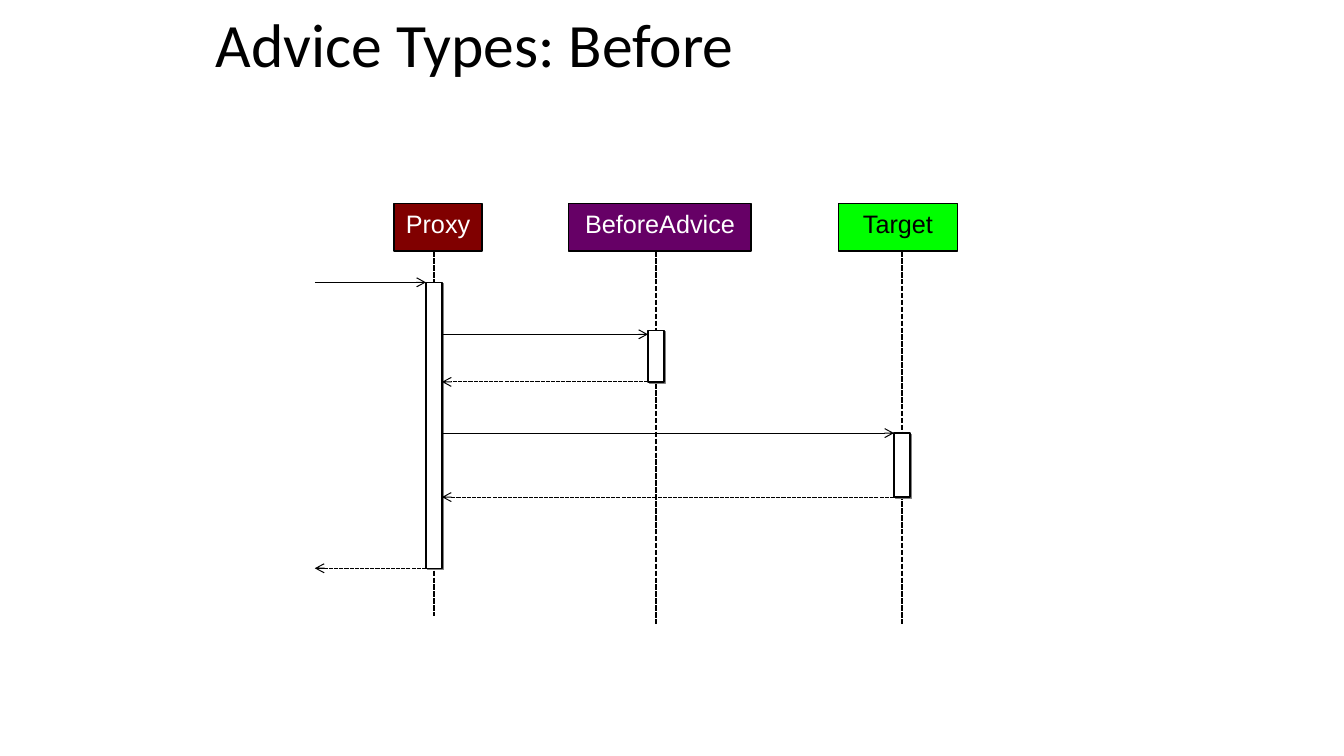
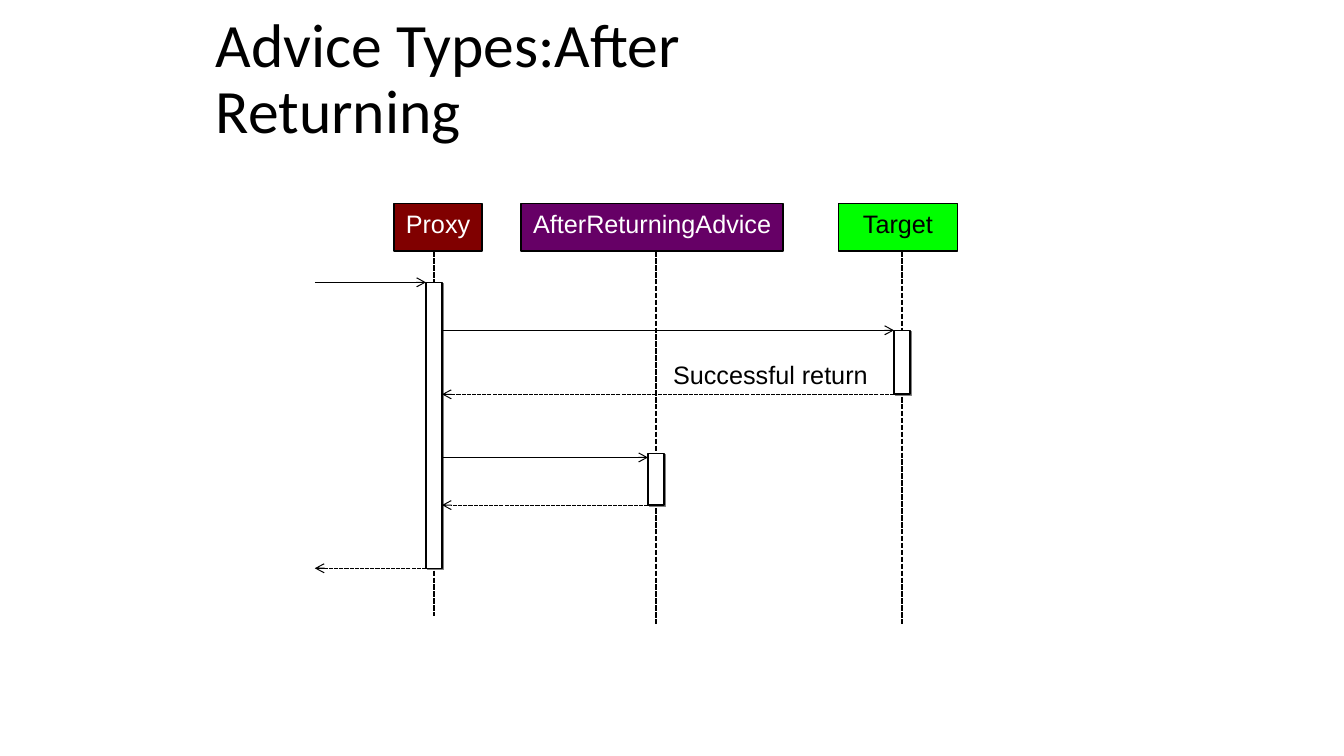
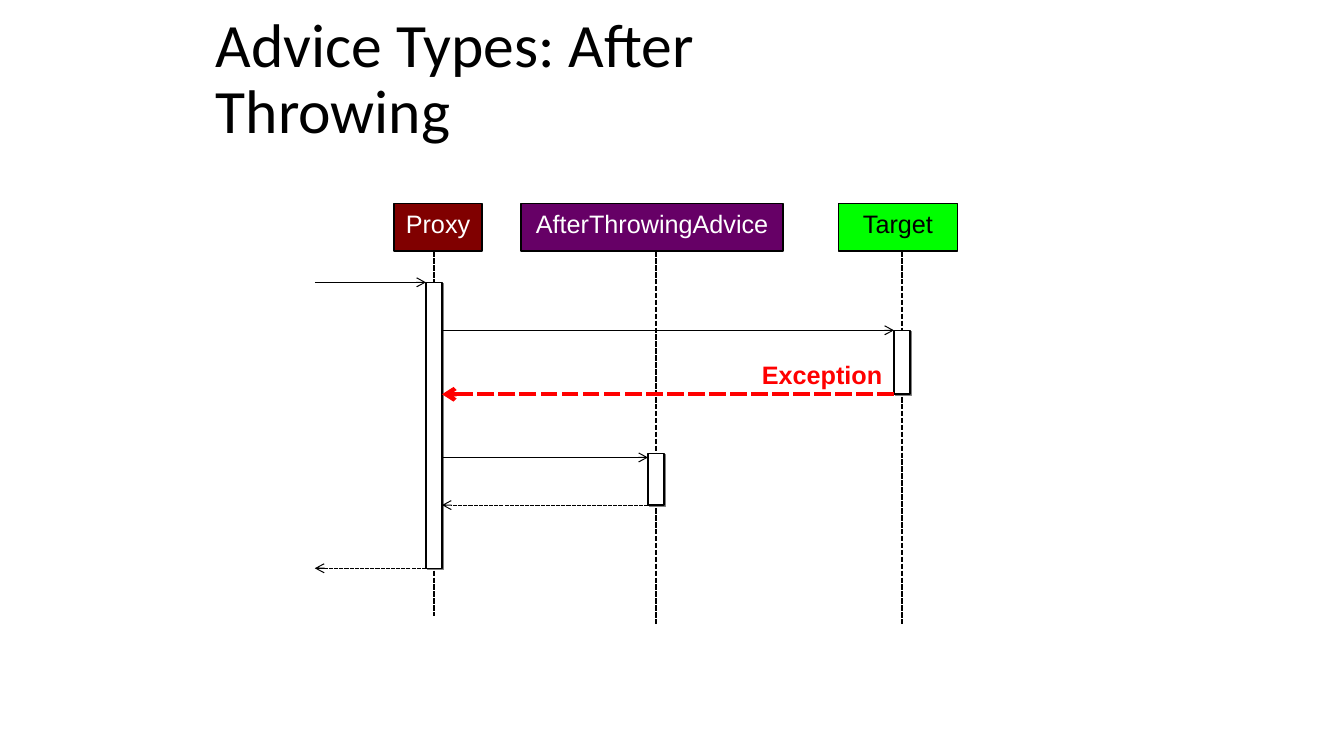
from dataclasses import dataclass, replace

from lxml import etree
from pptx import Presentation
from pptx.dml.color import RGBColor
from pptx.enum.shapes import MSO_CONNECTOR, MSO_SHAPE
from pptx.enum.text import MSO_ANCHOR, MSO_AUTO_SIZE, PP_ALIGN
from pptx.oxml.ns import qn
from pptx.util import Emu, Inches, Pt

STRAIGHT = MSO_CONNECTOR.STRAIGHT
RECTANGLE = MSO_SHAPE.RECTANGLE
TOP = MSO_ANCHOR.TOP
GROW = MSO_AUTO_SIZE.SHAPE_TO_FIT_TEXT
LEFT, CENTER = PP_ALIGN.LEFT, PP_ALIGN.CENTER

COLORS = {
    "black": "000000",
    "white": "FFFFFF",
    "maroon": "800000",
    "purple": "660066",
    "green": "00FF00",
    "red": "FF0000",
    "shadow": "808080",
}
TITLE_FONT, LABEL_FONT = "Calibri", "Arial"

# The slide is 168 square grid units wide; all positions below are in units.
SLIDE_WIDTH, SLIDE_HEIGHT = Inches(13.33), Inches(7.5)
UNIT = SLIDE_WIDTH / 168

TITLE_LEFT, TITLE_TOP, TITLE_WIDTH = 25.7, 1.1, 86.7
TITLE_PADDING, TITLE_LINE = 1.3, 8.4
HEAD_TOP, HEAD_HEIGHT = 25.45, 5.95
HEAD_BOTTOM = HEAD_TOP + HEAD_HEIGHT
BAR_WIDTH = 2
CALLER_X = 39.35
PROXY_START, PROXY_END = 35.3, 71.05
LABEL_TOP, LABEL_HEIGHT = 44.3, 4.9


@dataclass
class Lane:
    """A participant: its head box and the lifeline under it."""
    name: str
    fill: str
    text: str
    axis: float
    head_left: float
    head_width: float
    end: float = 78

    @property
    def bar_left(self):
        """Left edge of the activation bar."""
        return self.axis - BAR_WIDTH / 2

    @property
    def bar_right(self):
        """Right edge of the activation bar."""
        return self.axis + BAR_WIDTH / 2


@dataclass
class Call:
    """An activation with its call from the proxy and its return."""
    lane: Lane
    top: float
    height: float
    call_offset: float = 0
    return_color: str = "black"
    return_weight: float = 0.74


PROXY = Lane("Proxy", "maroon", "white", 54.25, 49.25, 11, 77)
TARGET = Lane("Target", "green", "black", 112.75, 104.8, 14.9)
BEFORE = Lane("BeforeAdvice", "purple", "white", 82, 71.1, 22.8)
AFTER_RETURNING = replace(BEFORE, name="AfterReturningAdvice",
                          head_left=65.15, head_width=32.75)
AFTER_THROWING = replace(AFTER_RETURNING, name="AfterThrowingAdvice")


def grid(*units):
    """Convert grid units to slide lengths."""
    return [Emu(round(unit * UNIT)) for unit in units]


def rgb(name):
    """Look up a named colour."""
    return RGBColor.from_string(COLORS[name])


def format_text(text_frame, font, size, color, align=LEFT, bold=False):
    """Format the only paragraph of a text frame."""
    text_frame.vertical_anchor = TOP
    paragraph = text_frame.paragraphs[0]
    paragraph.alignment = align
    for run in paragraph.runs:
        run.font.name = font
        run.font.size = Pt(size)
        run.font.bold = bold
        run.font.color.rgb = rgb(color)


def add_title(slide, text, lines):
    """Fill and place the title placeholder."""
    title = slide.shapes.title
    title.left, title.top, title.width, title.height = grid(
        TITLE_LEFT, TITLE_TOP, TITLE_WIDTH, TITLE_PADDING + lines * TITLE_LINE)
    title.text_frame.text = text
    title.text_frame.auto_size = GROW
    title.text_frame.paragraphs[0].line_spacing = 0.9
    format_text(title.text_frame, TITLE_FONT, 44, "black")


def add_box(slide, left, top, width, height, fill=None):
    """Add a rectangle without a shadow, outlined only when filled."""
    box = slide.shapes.add_shape(RECTANGLE, *grid(left, top, width, height))
    box.shadow.inherit = False
    if fill:
        box.fill.solid()
        box.fill.fore_color.rgb = rgb(fill)
        box.line.color.rgb = rgb("black")
        box.line.width = Pt(0.99)
    else:
        box.fill.background()
        box.line.fill.background()
    return box


def add_line(slide, start, end, weight, color="black", dashed=False, arrow=False):
    """Add a straight line, optionally dashed and with an open arrowhead."""
    line = slide.shapes.add_connector(STRAIGHT, *grid(*start, *end))
    line.line.color.rgb = rgb(color)
    line.line.width = Pt(weight)
    properties = line._element.spPr
    outline = properties.find(qn("a:ln"))
    if dashed:
        dashes = etree.SubElement(outline, qn("a:custDash"))
        etree.SubElement(dashes, qn("a:ds"), d="400000", sp="100000")
    if arrow:
        etree.SubElement(outline, qn("a:tailEnd"), type="arrow")
    etree.SubElement(properties, qn("a:effectLst"))


def add_message(slide, start_x, end_x, y, weight=0.74, **style):
    """Add a horizontal arrow between two lanes."""
    add_line(slide, (start_x, y), (end_x, y), weight, arrow=True, **style)


def add_lane(slide, lane):
    """Add a lifeline and its head box."""
    add_line(slide, (lane.axis, HEAD_BOTTOM), (lane.axis, lane.end), 0.99,
             dashed=True)
    head = add_box(slide, lane.head_left, HEAD_TOP, lane.head_width,
                   HEAD_HEIGHT, lane.fill)
    head.text_frame.text = lane.name
    head.text_frame.word_wrap = True
    format_text(head.text_frame, LABEL_FONT, 18, lane.text, CENTER)


def add_bar(slide, lane, top, height):
    """Add an activation bar with a hard shadow to the lower right."""
    bar = add_box(slide, lane.bar_left, top, BAR_WIDTH, height, "white")
    effects = bar._element.spPr.find(qn("a:effectLst"))
    shadow = etree.SubElement(effects, qn("a:outerShdw"), dist=str(Pt(1.4)),
                              dir="2700000", algn="ctr", rotWithShape="0")
    etree.SubElement(shadow, qn("a:srgbClr"), val=COLORS["shadow"])


def add_call(slide, call):
    """Add an activation with the arrows to and from the proxy."""
    lane, bottom = call.lane, call.top + call.height
    add_bar(slide, lane, call.top, call.height)
    add_message(slide, PROXY.bar_right, lane.bar_left, call.top + call.call_offset)
    add_message(slide, lane.bar_left, PROXY.bar_right, bottom,
                call.return_weight, color=call.return_color, dashed=True)


def add_label(slide, text, left, width, color="black", bold=False):
    """Add a one-line caption above the return from the target."""
    label = add_box(slide, left, LABEL_TOP, width, LABEL_HEIGHT)
    label.text_frame.text = text
    label.text_frame.word_wrap = False
    label.text_frame.auto_size = GROW
    format_text(label.text_frame, LABEL_FONT, 18, color, bold=bold)


def add_sequence_slide(presentation, title, title_lines, advice, calls):
    """Add a slide with a sequence diagram and return it."""
    slide = presentation.slides.add_slide(presentation.slide_layouts[5])
    add_title(slide, title, title_lines)
    for lane in (PROXY, advice, TARGET):
        add_lane(slide, lane)
    add_bar(slide, PROXY, PROXY_START, PROXY_END - PROXY_START)
    add_message(slide, CALLER_X, PROXY.bar_left, PROXY_START)
    add_message(slide, PROXY.bar_left, CALLER_X, PROXY_END, dashed=True)
    for call in calls:
        add_call(slide, call)
    return slide


def main():
    """Build the three advice slides."""
    presentation = Presentation()
    presentation.slide_width, presentation.slide_height = SLIDE_WIDTH, SLIDE_HEIGHT

    add_sequence_slide(presentation, "Advice Types: Before", 1, BEFORE,
                       [Call(BEFORE, 41.3, 6.45, 0.5), Call(TARGET, 54.15, 8)])

    target_call = Call(TARGET, 41.3, 8)
    slide = add_sequence_slide(
        presentation, "Advice Types:After Returning", 2, AFTER_RETURNING,
        [target_call, Call(AFTER_RETURNING, 56.7, 6.45, 0.5)])
    add_label(slide, "Successful return", 82.9, 27.1)

    failing_call = replace(target_call, return_color="red", return_weight=3)
    slide = add_sequence_slide(
        presentation, "Advice Types: After Throwing", 2, AFTER_THROWING,
        [failing_call, Call(AFTER_THROWING, 56.7, 6.45, 0.5)])
    add_label(slide, "Exception", 94, 17.7, "red", bold=True)

    presentation.save("out.pptx")


main()
